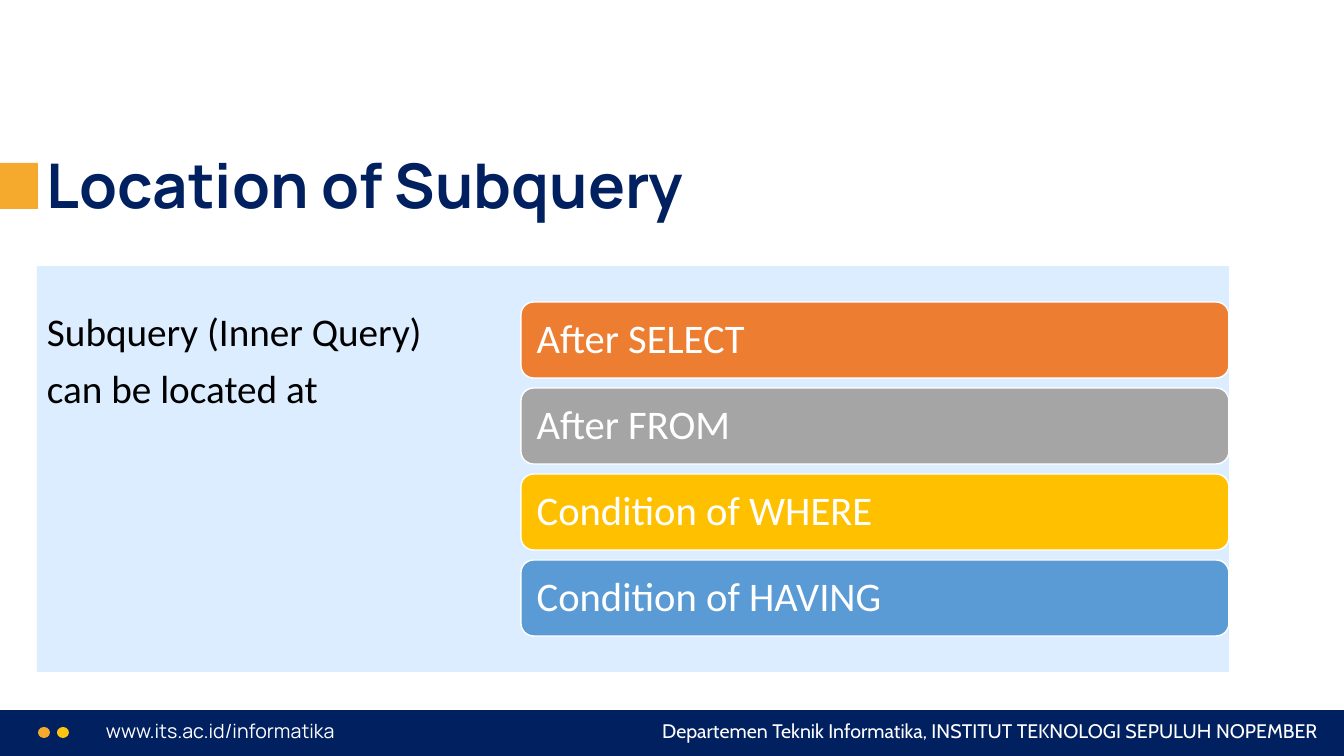
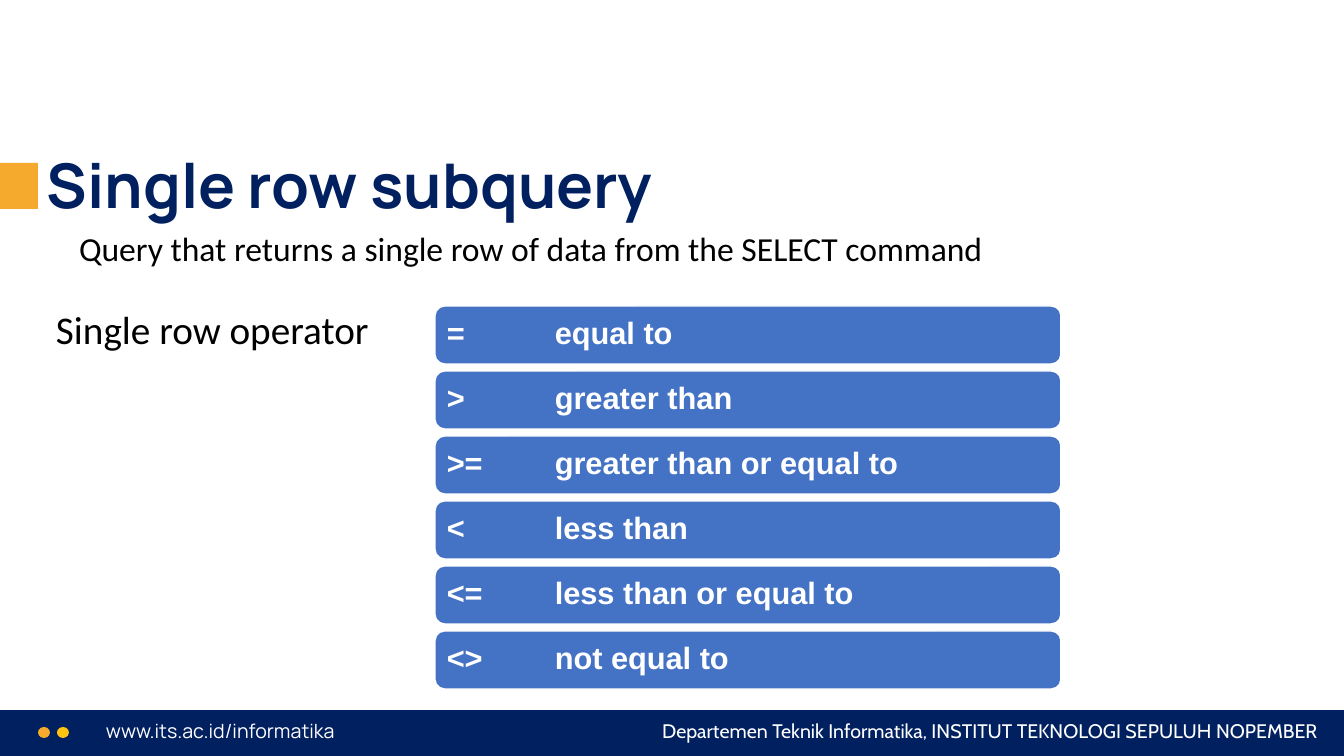
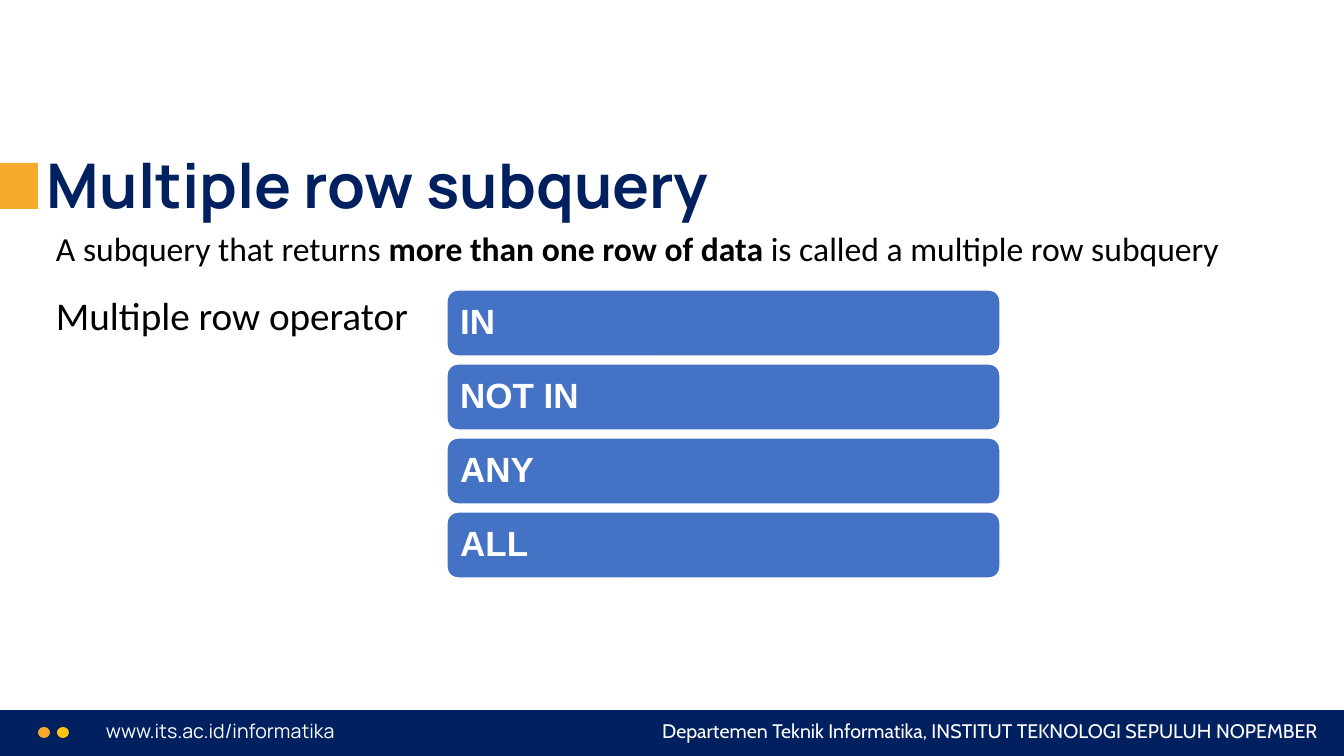
from lxml.etree import SubElement
from pptx import Presentation
from pptx.dml.color import RGBColor
from pptx.enum.shapes import MSO_SHAPE
from pptx.enum.text import MSO_ANCHOR, PP_ALIGN
from pptx.oxml.ns import qn
from pptx.util import Emu, Pt

EMU_PER_PX = 12192000 / 1344
SLIDE_W, SLIDE_H = 1344, 756

NAVY = RGBColor(0x00, 0x20, 0x60)
AMBER = RGBColor(0xF5, 0xAA, 0x2D)
YELLOW = RGBColor(0xFF, 0xC4, 0x11)
SKY = RGBColor(0x99, 0xCC, 0xFF)
ORANGE = RGBColor(0xED, 0x7D, 0x31)
GREY = RGBColor(0xA5, 0xA5, 0xA5)
GOLD = RGBColor(0xFF, 0xC0, 0x00)
LIGHT_BLUE = RGBColor(0x5B, 0x9B, 0xD5)
BLUE = RGBColor(0x44, 0x72, 0xC4)
WHITE = RGBColor(0xFF, 0xFF, 0xFF)
BLACK = RGBColor(0x00, 0x00, 0x00)


def px(n):
    return Emu(round(n * EMU_PER_PX))


def write(sp, *paragraphs, size, font="Calibri", color=BLACK, bold=False,
          align=PP_ALIGN.LEFT, anchor=MSO_ANCHOR.TOP, spacing=1.0,
          gap=0, insets=(10, 5, 10, 5), tab=None):
    tf = sp.text_frame
    tf.word_wrap = True
    tf.vertical_anchor = anchor
    tf.margin_left, tf.margin_top, tf.margin_right, tf.margin_bottom = map(px, insets)
    for i, runs in enumerate(paragraphs):
        p = tf.paragraphs[0] if i == 0 else tf.add_paragraph()
        p.alignment = align
        p.line_spacing = spacing
        if i and gap:
            p.space_before = Pt(gap)
        if tab:
            tabs = SubElement(p._p.get_or_add_pPr(), qn("a:tabLst"))
            SubElement(tabs, qn("a:tab"), pos=str(px(tab)), algn="l")
        for text, run_bold in [(runs, bold)] if isinstance(runs, str) else runs:
            r = p.add_run()
            r.text = text
            r.font.name = font
            r.font.size = Pt(size)
            r.font.bold = run_bold
            r.font.color.rgb = color


def add_text(s, box, *paragraphs, **fmt):
    sp = s.shapes.add_textbox(*map(px, box))
    write(sp, *paragraphs, **fmt)


def add_box(s, kind, box, fill, line=None, alpha=None):
    sp = s.shapes.add_shape(kind, *map(px, box))
    sp.shadow.inherit = False
    sp.fill.solid()
    sp.fill.fore_color.rgb = fill
    if alpha:
        color = sp.fill._xPr.find(".//" + qn("a:srgbClr"))
        SubElement(color, qn("a:alpha"), val=str(alpha * 1000))
    if line is None:
        sp.line.fill.background()
    else:
        sp.line.color.rgb = line
        sp.line.width = Pt(1)
    return sp


def add_footer(s, box):
    x, y, w, h = box
    add_box(s, MSO_SHAPE.RECTANGLE, box, NAVY)
    for i, color in enumerate((AMBER, YELLOW)):
        add_box(s, MSO_SHAPE.OVAL, (x + 38 + 19 * i, y + 17, 12, 11), color)
    add_text(s, (x + 96, y + 4, 431, 34), "www.its.ac.id/informatika",
             size=14, font="Manrope", color=WHITE)
    add_text(s, (x + w - 748, y + 4, 732, 34),
             "Departemen Teknik Informatika, INSTITUT TEKNOLOGI SEPULUH NOPEMBER",
             size=14, font="Cabin", color=WHITE, align=PP_ALIGN.RIGHT)


def add_title(s, box, text):
    x, y, w, h = box
    add_box(s, MSO_SHAPE.RECTANGLE, (0, y + 24, x + 1, 46), AMBER)
    add_text(s, box, text, size=44, font="Manrope", color=NAVY, bold=True,
             anchor=MSO_ANCHOR.BOTTOM, spacing=0.9)


def add_bars(s, box, labels, pitch, inset, fills=(BLUE,), **fmt):
    x, y, w, h = box
    for i, label in enumerate(labels):
        bar = add_box(s, MSO_SHAPE.ROUNDED_RECTANGLE, (x, y + i * pitch, w, h),
                      fills[i % len(fills)], line=WHITE)
        write(bar, label, color=WHITE, anchor=MSO_ANCHOR.MIDDLE, spacing=0.9,
              insets=(inset,) * 4, **fmt)


def add_page(prs, title):
    s = prs.slides.add_slide(prs.slide_layouts[6])
    add_footer(s, (0, 710, SLIDE_W, 46))
    add_title(s, (37, 139, 1276, 88), title)
    return s


def location_slide(prs):
    s = add_page(prs, "Location of Subquery")
    x, y, w, h = 37, 266, 1192, 406
    panel = add_box(s, MSO_SHAPE.RECTANGLE, (x, y, w, h), SKY, alpha=34)
    write(panel, "Subquery (Inner Query)", "can be located at", size=28,
          spacing=0.9, gap=10, insets=(10, 47, 10, 5))
    add_bars(s, (x + 484, y + 36, w - 484, 76),
             ("After SELECT", "After FROM", "Condition of WHERE", "Condition of HAVING"),
             86, 12, (ORANGE, GREY, GOLD, LIGHT_BLUE), size=29)


def operator_slide(prs, title, definition, definition_x, label, label_y,
                   operators, bars_box, **bars):
    s = add_page(prs, title)
    add_text(s, (definition_x, 227, 1246, 40), definition, size=24, spacing=0.9)
    add_text(s, (46, label_y, 380, 57), label, size=28)
    add_bars(s, bars_box, operators, font="Arial", bold=True, **bars)


def main():
    prs = Presentation()
    prs.slide_width, prs.slide_height = px(SLIDE_W), px(SLIDE_H)
    location_slide(prs)
    operator_slide(
        prs, "Single row subquery",
        "Query that returns a single row of data from the SELECT command", 69,
        "Single row operator", 300,
        ("=\tequal to", ">\tgreater than", ">=\tgreater than or equal to",
         "<\tless than", "<=\tless than or equal to", "<>\tnot equal to"),
        (435, 306, 626, 58), pitch=65, inset=9, size=22, tab=108)
    operator_slide(
        prs, "Multiple row subquery",
        [("A subquery that returns ", False), ("more than one row of data ", True),
         ("is called a multiple row subquery", False)], 46,
        "Multiple row operator", 286,
        ("IN", "NOT IN", "ANY", "ALL"),
        (447, 290, 553, 66), pitch=74, inset=10, size=25)
    prs.save("out.pptx")


if __name__ == "__main__":
    main()
